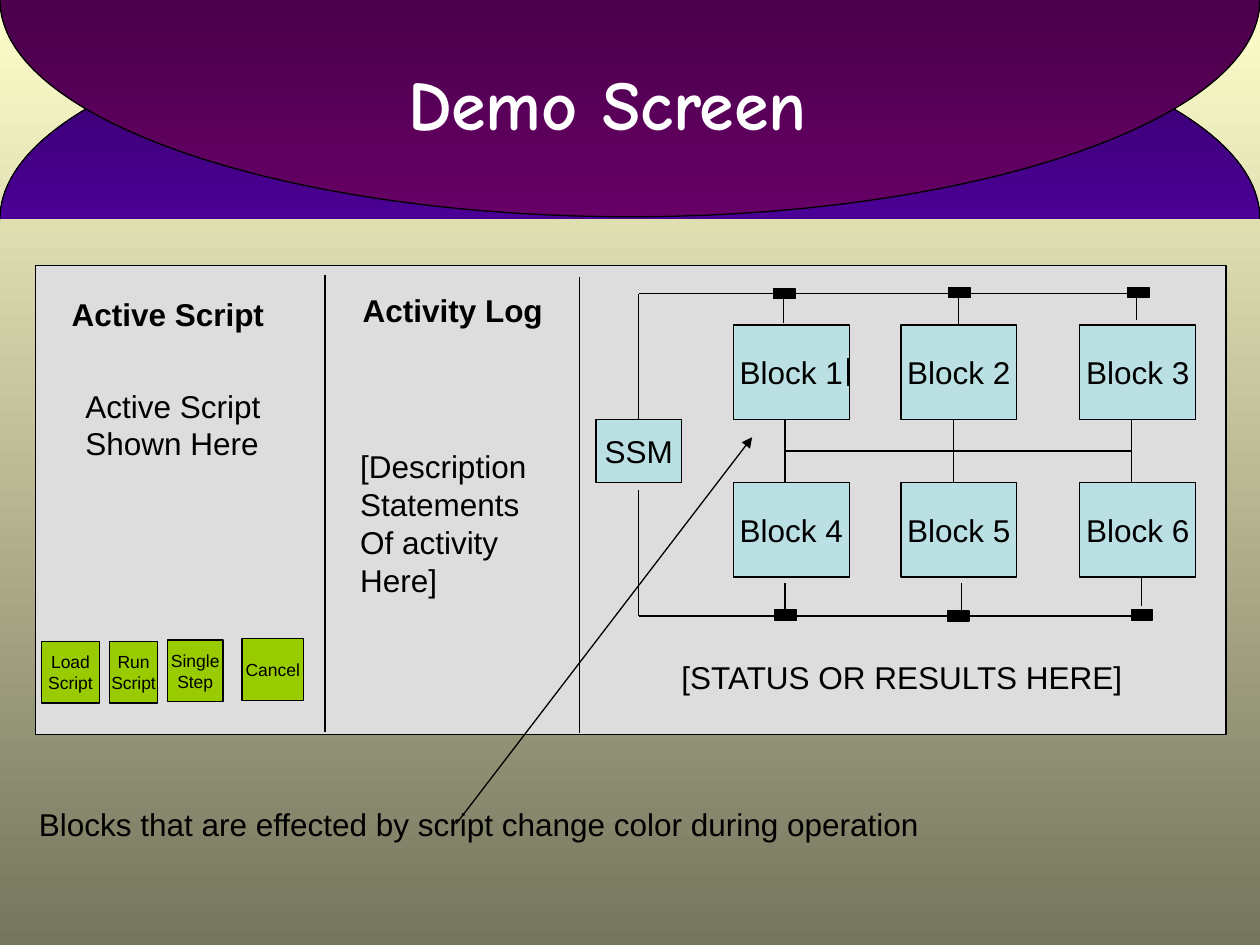
from lxml.etree import SubElement
from pptx import Presentation
from pptx.dml.color import RGBColor
from pptx.enum.shapes import MSO_CONNECTOR, MSO_SHAPE
from pptx.enum.text import MSO_ANCHOR, MSO_AUTO_SIZE, PP_ALIGN
from pptx.oxml.ns import qn
from pptx.util import Inches, Pt

COLORS = {
    "black": "000000", "white": "FFFFFF",
    "cream": "FFFFCC", "olive": "75755E",
    "indigo_dark": "2F005E", "indigo": "4B0095",
    "plum_dark": "4B004B", "plum": "660066",
    "panel": "DDDDDD", "block": "BBE0E3", "button": "99CC00",
}


def rgb(name):
    return RGBColor.from_string(COLORS[name])


def write_text(frame, text, size=18, font="Arial", color="black", bold=False,
               align=PP_ALIGN.LEFT, anchor=MSO_ANCHOR.TOP, wrap=False,
               autosize=MSO_AUTO_SIZE.NONE):
    """Fill a text frame, one paragraph for each line of text."""
    frame.text = text
    frame.word_wrap = wrap
    frame.auto_size = autosize
    frame.vertical_anchor = anchor
    for paragraph in frame.paragraphs:
        paragraph.alignment = align
        for run in paragraph.runs:
            run.font.size = Pt(size)
            run.font.name = font
            run.font.bold = bold
            run.font.color.rgb = rgb(color)


def shade_down(fill, top, bottom):
    """Apply a vertical gradient."""
    fill.gradient()
    fill.gradient_angle = 270
    for stop, color, position in zip(fill.gradient_stops, (top, bottom), (0, 1)):
        stop.color.rgb = rgb(color)
        stop.position = position


def bend_segments(freeform):
    """Turn every three line segments of a freeform into one Bezier curve."""
    outline = next(freeform.element.iter(qn("a:path")))
    segments = outline.findall(qn("a:lnTo"))
    for start in range(0, len(segments), 3):
        curve = SubElement(outline, qn("a:cubicBezTo"))
        for segment in segments[start:start + 3]:
            curve.append(segment[0])
            outline.remove(segment)


class SlideBuilder:
    line_width = Pt(0.75)
    line_color = "black"

    def __init__(self, slide):
        self.slide = slide
        self.shapes = slide.shapes

    def outline(self, item):
        item.line.color.rgb = rgb(self.line_color)
        item.line.width = self.line_width

    def background(self, top, bottom):
        shade_down(self.slide.background.fill, top, bottom)

    def half_ellipse(self, base, height, top, bottom):
        """Draw a slide-wide arch; a negative height makes it hang down."""
        pull = 0.55  # Bezier handle length for a quarter ellipse
        peak, shoulder = base - height, base - pull * height
        points = [(0, shoulder), (5 - 5 * pull, peak), (5, peak),
                  (5 + 5 * pull, peak), (10, shoulder), (10, base)]
        builder = self.shapes.build_freeform(0, Inches(base))
        builder.add_line_segments([(Inches(x), Inches(y)) for x, y in points],
                                  close=False)
        arch = builder.convert_to_shape()
        bend_segments(arch)
        arch.shadow.inherit = False
        shade_down(arch.fill, top, bottom)
        self.outline(arch)

    def title(self, text, left, top, width, height):
        title = self.shapes.title
        self.shapes.element.append(title.element)  # bring in front of the arches
        title.left, title.top = Inches(left), Inches(top)
        title.width, title.height = Inches(width), Inches(height)
        write_text(title.text_frame, text, size=40, font="Comic Neue",
                   color="white", bold=True, align=PP_ALIGN.CENTER,
                   anchor=MSO_ANCHOR.MIDDLE, wrap=True)

    def box(self, left, top, width, height, fill, text="", size=18):
        box = self.shapes.add_shape(MSO_SHAPE.RECTANGLE, Inches(left), Inches(top),
                                    Inches(width), Inches(height))
        box.shadow.inherit = False
        box.fill.solid()
        box.fill.fore_color.rgb = rgb(fill)
        self.outline(box)
        if text:
            write_text(box.text_frame, text, size=size, align=PP_ALIGN.CENTER,
                       anchor=MSO_ANCHOR.MIDDLE)
        return box

    def label(self, text, left, top, width, height, bold=False):
        label = self.shapes.add_textbox(Inches(left), Inches(top),
                                        Inches(width), Inches(height))
        write_text(label.text_frame, text, bold=bold,
                   autosize=MSO_AUTO_SIZE.SHAPE_TO_FIT_TEXT)

    def line(self, x1, y1, x2, y2, arrow=False):
        line = self.shapes.add_connector(MSO_CONNECTOR.STRAIGHT, Inches(x1),
                                         Inches(y1), Inches(x2), Inches(y2))
        self.outline(line)
        if arrow:
            SubElement(line.line._get_or_add_ln(), qn("a:tailEnd"), type="triangle")
        SubElement(line.element.spPr, qn("a:effectLst"))
        return line


def draw_block_diagram(page):
    columns = (5.82, 7.15, 8.57)
    rows = (2.58, 3.83)
    for row, top in enumerate(rows):
        for column, left in enumerate(columns):
            page.box(left, top, 0.92, 0.75, "block", f"Block {row * 3 + column + 1}")

    link_xs = (6.23, 7.57, 8.98)
    for x in link_xs:
        page.line(x, 3.33, x, 3.83)
    page.line(link_xs[0], 3.58, link_xs[-1], 3.58)

    ssm = page.box(4.73, 3.33, 0.68, 0.5, "block", "SSM")
    page.line(5.07, 3.33, 5.07, 2.33).begin_connect(ssm, 0)
    page.line(5.07, 4.89, 5.07, 3.89)
    for bus_y in (2.33, 4.89):
        page.line(5.07, bus_y, 9.07, bus_y)

    for left, top in ((6.15, 4.84), (7.52, 4.85), (7.53, 2.28),
                      (8.95, 2.28), (6.14, 2.29), (8.98, 4.84)):
        page.box(left, top, 0.17, 0.08, "black")
    for x, top in ((6.22, 2.34), (6.23, 4.63), (7.63, 4.63), (6.73, 2.84),
                   (9.02, 2.32), (7.61, 2.35), (9.06, 4.59)):
        page.line(x, top, x, top + 0.22)


def main():
    deck = Presentation()
    deck.slide_width, deck.slide_height = Inches(10), Inches(7.5)
    page = SlideBuilder(deck.slides.add_slide(deck.slide_layouts[5]))

    page.background("cream", "olive")
    page.half_ellipse(1.74, 1.74, "indigo_dark", "indigo")
    page.half_ellipse(0, -1.72, "plum_dark", "plum")
    page.box(0.28, 2.11, 9.45, 3.72, "panel")
    page.title("Demo Screen", 0.32, 0.19, 9, 1.25)

    page.line(2.58, 2.18, 2.58, 5.81)
    page.label("Active Script", 0.47, 2.29, 1.73, 0.4, bold=True)
    draw_block_diagram(page)

    for text, left, top, width in (("Load\nScript", 0.33, 5.09, 0.46),
                                   ("Run\nScript", 0.87, 5.09, 0.38),
                                   ("Single\nStep", 1.33, 5.08, 0.44),
                                   ("Cancel", 1.92, 5.07, 0.49)):
        page.box(left, top, width, 0.49, "button", text, size=10)

    page.label("Active Script\nShown Here", 0.58, 3.02, 1.66, 0.7)
    page.label("[STATUS OR RESULTS HERE]", 5.31, 5.17, 3.75, 0.4)
    page.label("Blocks that are effected by script change color during operation",
               0.21, 6.34, 7.19, 0.4)
    page.line(3.62, 6.54, 5.97, 3.47, arrow=True)
    page.line(4.6, 2.2, 4.6, 5.82)
    page.label("Activity Log", 2.78, 2.26, 1.63, 0.4, bold=True)
    page.label("[Description\nStatements\nOf activity\nHere]", 2.76, 3.5, 1.53, 1.3)

    deck.save("out.pptx")


if __name__ == "__main__":
    main()
